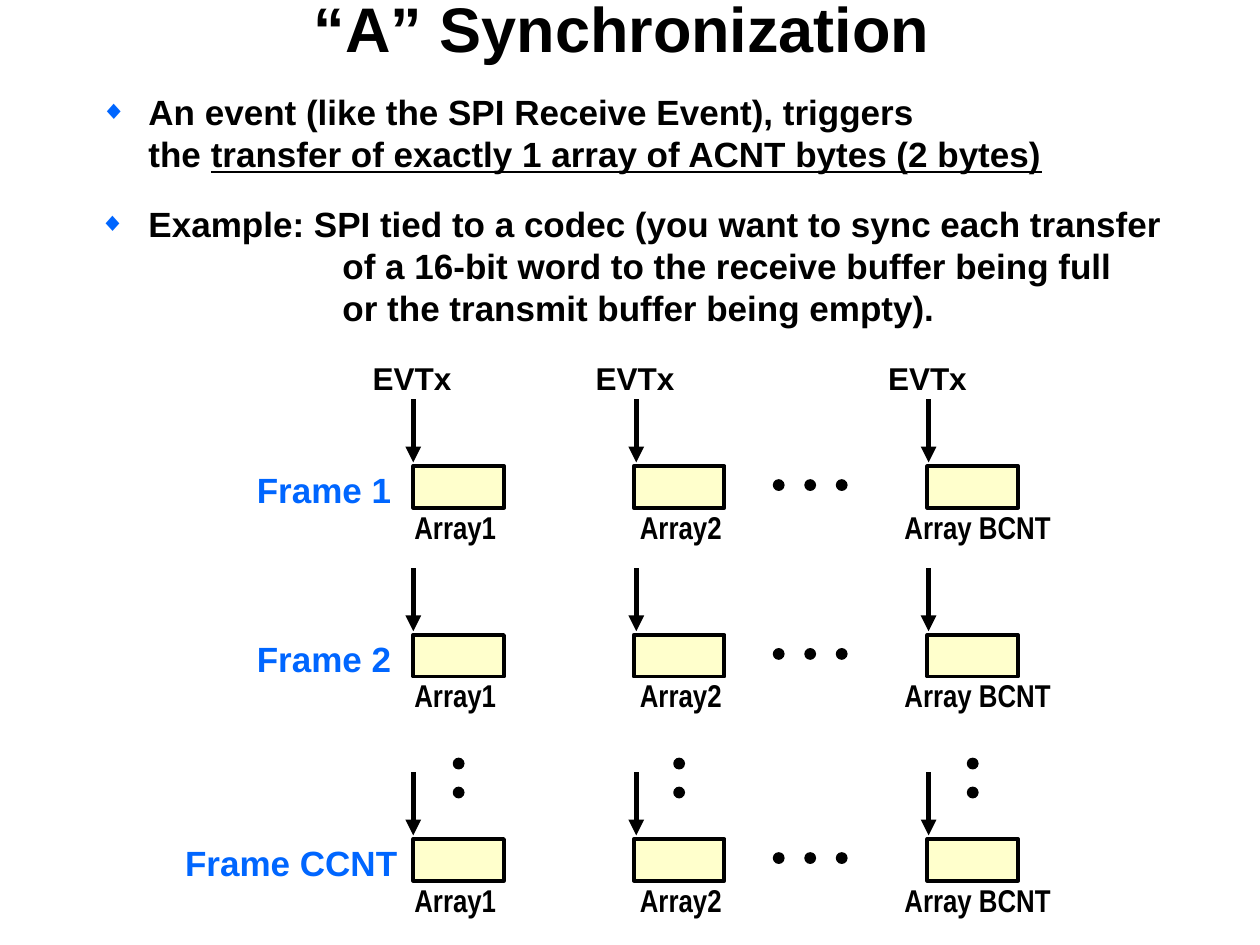
from pptx import Presentation
from pptx.dml.color import RGBColor
from pptx.enum.shapes import MSO_CONNECTOR as Conn, MSO_SHAPE as Shape
from pptx.enum.text import MSO_ANCHOR as Anchor, PP_ALIGN as Align
from pptx.oxml.ns import qn
from pptx.util import Inches, Pt
from lxml.etree import SubElement as Sub

BLACK, BLUE, CREAM = "000000", "0066FF", "FFFFCC"

# Frame name, its left edge and width, top of its boxes
ROWS = [("Frame 1", 1.94, 1.27, 3.7),
        ("Frame 2", 1.94, 1.27, 5.04),
        ("Frame CCNT", 1.37, 1.89, 6.66)]

# Array name, its left edge and width, left of its box, x of its arrow
COLS = [("Array1", 3.19, 0.99, 3.28, 3.28),
        ("Array2", 4.98, 0.99, 5.03, 5.05),
        ("Array BCNT", 7.08, 1.5, 7.36, 7.37)]


def color(code):
    return RGBColor.from_string(code)


def add_para(frame, parts, first=False, size=20, font="Arial", ink=BLACK,
             align=Align.LEFT, lead=None, left=0, hang=0, bullet=False):
    """Add a paragraph of (text, underline) parts; \\n breaks the line."""
    para = frame.paragraphs[0] if first else frame.add_paragraph()
    props = para._p.get_or_add_pPr()
    props.set("marL", str(Inches(left)))
    props.set("indent", str(-Inches(hang)))
    if bullet:
        Sub(Sub(props, qn("a:buClr")), qn("a:srgbClr"), val=BLUE)
        Sub(props, qn("a:buSzPct"), val="75000")
        Sub(props, qn("a:buFont"), typeface="Arial")
        Sub(props, qn("a:buChar"), char="◆")
    para.alignment = align
    if lead:
        para.line_spacing = lead
    para.font.size = Pt(size)
    for text, under in parts:
        for i, line in enumerate(text.split("\n")):
            if i:
                para.add_line_break()
            run = para.add_run()
            run.text = line
            run.font.name, run.font.size = font, Pt(size)
            run.font.bold = True
            run.font.underline = under or None
            run.font.color.rgb = color(ink)


def add_box(slide, x, y, w, h, wrap=False, anchor=Anchor.TOP):
    box = slide.shapes.add_textbox(Inches(x), Inches(y), Inches(w), Inches(h))
    box.text_frame.word_wrap = wrap
    box.text_frame.vertical_anchor = anchor
    return box.text_frame


def add_text(slide, text, x, y, w, h, wrap=False, **style):
    frame = add_box(slide, x, y, w, h, wrap)
    add_para(frame, [(text, False)], first=True, **style)


def add_form(slide, kind, x, y, w, h, fill, width):
    form = slide.shapes.add_shape(kind, Inches(x), Inches(y), Inches(w), Inches(h))
    form.shadow.inherit = False
    form.fill.solid()
    form.fill.fore_color.rgb = color(fill)
    form.line.color.rgb = color(BLACK)
    form.line.width = Pt(width)


def add_dot(slide, x, y):
    add_form(slide, Shape.OVAL, x, y, 0.08, 0.08, BLACK, 1)


def add_arrow(slide, x, y, length):
    arrow = slide.shapes.add_connector(
        Conn.STRAIGHT, Inches(x), Inches(y), Inches(x), Inches(y + length))
    arrow.line.color.rgb = color(BLACK)
    arrow.line.width = Pt(3)
    Sub(arrow.line._get_or_add_ln(), qn("a:tailEnd"), type="triangle")
    Sub(arrow._element.spPr, qn("a:effectLst"))


def add_points(slide):
    event = add_box(slide, 0.7, 0.67, 7.8, 0.77, anchor=Anchor.MIDDLE)
    add_para(event, [
        ("An event (like the SPI Receive Event), triggers\nthe ", False),
        ("transfer of exactly 1 array of ACNT bytes (2 bytes)", True),
    ], first=True, left=0.38, hang=0.38, bullet=True)

    codec = add_box(slide, 0.69, 1.56, 8.66, 1.11)
    add_para(codec, [
        ("Example: SPI tied to a codec (you want to sync each transfer", False),
    ], first=True, left=0.39, hang=0.39, bullet=True)
    add_para(codec, [
        ("of a 16-bit word to the receive buffer being full\n"
         "or the transmit buffer being empty).", False),
    ], left=1.93)


def add_frames(slide):
    for name, left, width, top in ROWS:
        add_text(slide, name, left, top - 0.03, width, 0.43, ink=BLUE)
        for label, x, w, box, stem in COLS:
            add_form(slide, Shape.RECTANGLE, box, top, 0.72, 0.33, CREAM, 2.25)
            add_text(slide, label, x, top + 0.28, w, 0.4, wrap=True,
                     size=18, font="Arial Narrow")
            add_arrow(slide, stem, top - 0.53, 0.5)
        for i in range(3):
            add_dot(slide, 6.14 + 0.25 * i, top + 0.11)


def main():
    deck = Presentation()
    deck.slide_width, deck.slide_height = Inches(10), Inches(7.5)
    slide = deck.slides.add_slide(deck.slide_layouts[6])

    # Title and bullets
    add_text(slide, "“A” Synchronization", 0, 0.01, 9.87, 0.67, wrap=True,
             size=36, align=Align.CENTER, lead=0.75)
    add_points(slide)

    # Frames of arrays
    add_frames(slide)

    # Event labels on top, dots between the last two frames
    for _, _, _, box, stem in COLS:
        add_text(slide, "EVTx", stem - 0.42, 2.86, 0.83, 0.34, size=18, lead=0.8)
        for y in (6.02, 6.25):
            add_dot(slide, box + 0.32, y)

    deck.save("out.pptx")


if __name__ == "__main__":
    main()
